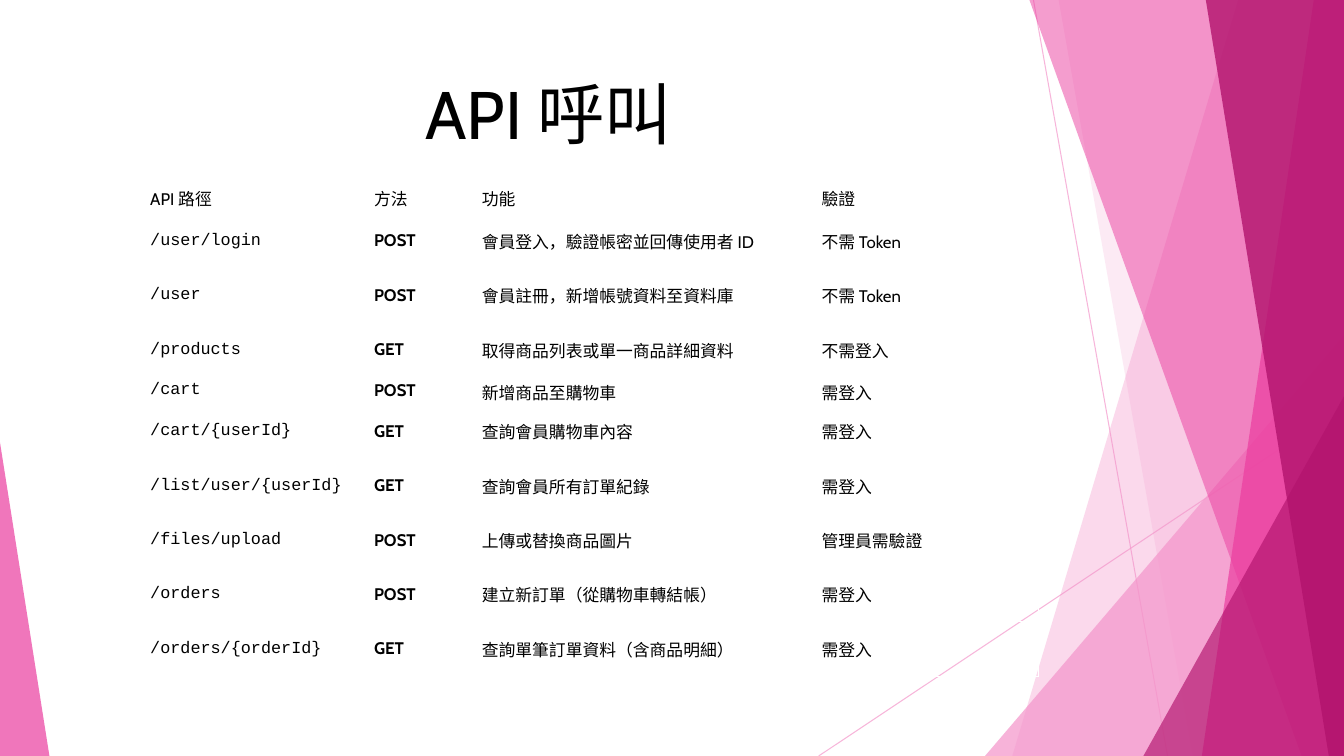
from dataclasses import dataclass

from lxml import etree
from pptx import Presentation, util as u
from pptx.dml import color
from pptx.enum import shapes, text
from pptx.oxml import ns

W, H = 13.33, 7.5
PINK, ROSE, PLUM, BLACK = "F496CB", "EB3D9F", "B2136D", "000000"
SANS, MONO = "Cabin", "Courier New"


@dataclass
class Ray:
    x1: float
    y1: float
    x2: float
    y2: float


@dataclass
class Band:
    top_x: float
    bottom_x: float
    fill: str
    alpha: int


@dataclass
class Wedge:
    x: float
    y: float
    right: float
    apex: int
    fill: str
    alpha: int


@dataclass
class Call:
    route: str
    method: str
    purpose: str
    auth: str
    height: float = 0.54


RAYS = [Ray(10.25, 0, 11.58, H), Ray(W, 4.03, 8.12, H)]
FACETS = [
    Band(12.28, 10.04, PINK, 36),
    Band(10.5, 11.83, PINK, 20),
    Wedge(9.77, 3.33, W, 1, PINK, 72),
    Band(10.21, 12.91, ROSE, 50),
    Band(13.03, 11.92, ROSE, 70),
    Band(11.96, 13.18, PLUM, 80),
    Wedge(11.34, 3.93, W, 1, PLUM, 66),
    Wedge(0, 4.39, 0.49, 0, ROSE, 70),
]
HEADER = Call("API 路徑", "方法", "功能", "驗證", 0.31)
CALLS = [
    Call("/user/login", "POST", "會員登入，驗證帳密並回傳使用者 ID", "不需 Token"),
    Call("/user", "POST", "會員註冊，新增帳號資料至資料庫", "不需 Token"),
    Call("/products", "GET", "取得商品列表或單一商品詳細資料", "不需登入"),
    Call("/cart", "POST", "新增商品至購物車", "需登入", 0.27),
    Call("/cart/{userId}", "GET", "查詢會員購物車內容", "需登入"),
    Call("/list/user/{userId}", "GET", "查詢會員所有訂單紀錄", "需登入"),
    Call("/files/upload", "POST", "上傳或替換商品圖片", "管理員需驗證"),
    Call("/orders", "POST", "建立新訂單（從購物車轉結帳）", "需登入"),
    Call("/orders/{orderId}", "GET", "查詢單筆訂單資料（含商品明細）", "需登入"),
]
COLUMNS = [2.22, 1.07, 3.37, 2.22]


def paint(fill, rgb: str, alpha: int = 100) -> None:
    fill.solid()
    fill.fore_color.rgb = color.RGBColor.from_string(rgb)
    if alpha < 100:
        clr = fill._xPr.find(".//" + ns.qn("a:srgbClr"))
        etree.SubElement(clr, ns.qn("a:alpha")).set("val", str(alpha * 1000))


def add_run(p, words: str, size: int, font: str = SANS, bold: bool = False) -> None:
    r = p.add_run()
    r.text = words
    r.font.name, r.font.size, r.font.bold = font, u.Pt(size), bold
    paint(r.font.fill, BLACK)


def draw_ray(s, ray: Ray) -> None:
    ends = [u.Inches(v) for v in (ray.x1, ray.y1, ray.x2, ray.y2)]
    line = s.shapes.add_connector(shapes.MSO_CONNECTOR.STRAIGHT, *ends)
    line.line.width = u.Pt(0.75)
    paint(line.line.fill, PINK, 70)
    etree.SubElement(line._element.spPr, ns.qn("a:effectLst"))


def draw_facet(s, facet: Band | Wedge) -> None:
    if isinstance(facet, Band):
        outline = s.shapes.build_freeform(
            u.Inches(facet.top_x), 0)
        corners = [(W, 0), (W, H), (facet.bottom_x, H)]
        outline.add_line_segments([(u.Inches(x), u.Inches(y)) for x, y in corners])
        sp = outline.convert_to_shape()
    else:
        sp = s.shapes.add_shape(
            shapes.MSO_SHAPE.ISOSCELES_TRIANGLE, u.Inches(facet.x), u.Inches(facet.y),
            u.Inches(facet.right - facet.x), u.Inches(H - facet.y))
        sp.adjustments[0] = facet.apex
    sp.shadow.inherit = False
    sp.line.fill.background()
    paint(sp.fill, facet.fill, facet.alpha)


def draw_title(s, words: str) -> None:
    box = s.shapes.add_textbox(u.Inches(0.74), u.Inches(0.67), u.Inches(9.4), u.Inches(1.44))
    tf = box.text_frame
    tf.word_wrap = True
    tf.vertical_anchor = text.MSO_ANCHOR.TOP
    p = tf.paragraphs[0]
    p.alignment = text.PP_ALIGN.CENTER
    add_run(p, words, 48)


def fill_cell(cell, words: str, font: str, bold: bool) -> None:
    cell.fill.background()
    cell.vertical_anchor = text.MSO_ANCHOR.MIDDLE
    cell.margin_left = cell.margin_right = u.Inches(0.07)
    cell.margin_top = cell.margin_bottom = u.Inches(0.03)
    add_run(cell.text_frame.paragraphs[0], words, 12, font, bold)


def draw_calls(s, calls: list[Call]) -> None:
    rows = [HEADER, *calls]
    table = s.shapes.add_table(
        len(rows), len(COLUMNS), u.Inches(1.42), u.Inches(1.81),
        u.Inches(sum(COLUMNS)), u.Inches(sum(c.height for c in rows))).table
    table.first_row = table.horz_banding = False
    for column, width in zip(table.columns, COLUMNS):
        column.width = u.Inches(width)
    for i, call in enumerate(rows):
        table.rows[i].height = u.Inches(call.height)
        for j, words in enumerate((call.route, call.method, call.purpose, call.auth)):
            font = MONO if i and j == 0 else SANS
            fill_cell(table.cell(i, j), words, font, bold=i > 0 and j == 1)


def main() -> None:
    prs = Presentation()
    prs.slide_width, prs.slide_height = u.Inches(W), u.Inches(H)
    s = prs.slides.add_slide(prs.slide_layouts[6])
    paint(s.background.fill, "FFFFFF")
    for ray in RAYS:
        draw_ray(s, ray)
    for facet in FACETS:
        draw_facet(s, facet)
    draw_title(s, "API 呼叫")
    draw_calls(s, CALLS)
    prs.save("out.pptx")


if __name__ == "__main__":
    main()
